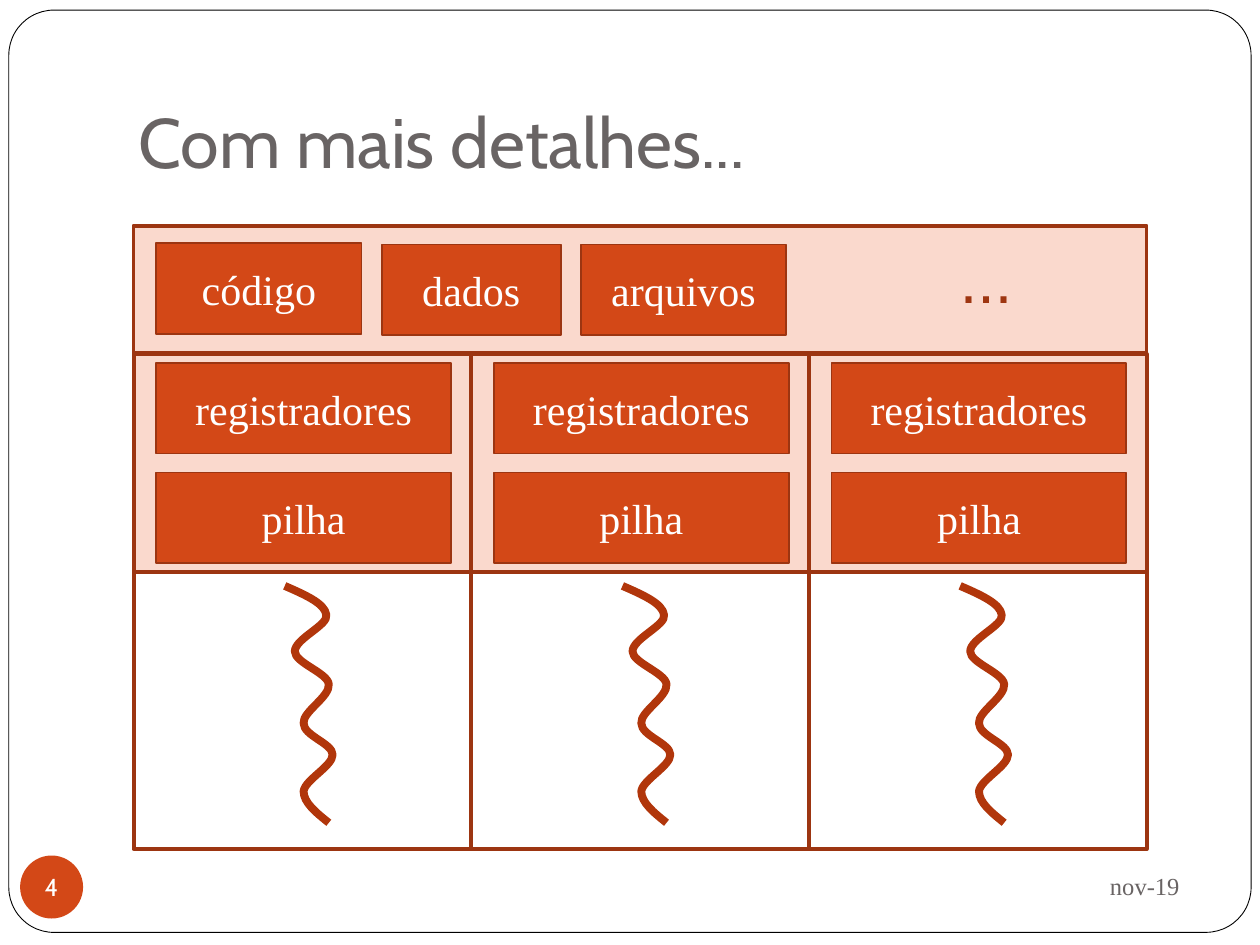
from pptx import Presentation
from pptx.dml.color import RGBColor
from pptx.enum.shapes import MSO_SHAPE
from pptx.enum.text import MSO_ANCHOR, MSO_AUTO_SIZE, PP_ALIGN
from pptx.oxml.ns import qn
from pptx.util import Inches, Pt
from lxml.etree import SubElement

COLORS = {
    "white": "FFFFFF", "black": "000000", "gray": "696464",
    "orange": "D34817", "pale": "FAD9CD", "border": "9C3511",
    "wave": "B1360B", "dots": "9E3611",
}
SERIF, SANS = "Times New Roman", "Cabin"
THREADS = 3
THREAD_WIDTH = 2.68
# Two control points and an end for each bend, from the top left of the wave
WAVE_BENDS = [
    ((0.16, 0.07), (0.32, 0.14), (0.33, 0.23)),
    ((0.35, 0.31), (0.08, 0.42), (0.08, 0.52)),
    ((0.08, 0.61), (0.34, 0.69), (0.35, 0.78)),
    ((0.36, 0.88), (0.14, 1.00), (0.15, 1.09)),
    ((0.15, 1.19), (0.38, 1.25), (0.38, 1.34)),
    ((0.38, 1.43), (0.16, 1.54), (0.15, 1.63)),
    ((0.15, 1.72), (0.25, 1.80), (0.35, 1.88)),
]


def rgb(name):
    return RGBColor.from_string(COLORS[name])


def write(shape, text, size, font, color, align, **frame_format):
    """Put one formatted line of text in a shape."""
    frame = shape.text_frame
    frame.text = text
    for name, value in {"word_wrap": True, **frame_format}.items():
        setattr(frame, name, value)
    line = frame.paragraphs[0]
    line.alignment = align
    letters = line.runs[0].font
    for name, value in {"size": Pt(size), "name": font, "bold": False}.items():
        setattr(letters, name, value)
    letters.color.rgb = rgb(color)


def add_block(slide, box, fill, border=None, weight=1, kind=MSO_SHAPE.RECTANGLE):
    block = slide.shapes.add_shape(kind, *map(Inches, box))
    block.shadow.inherit = False
    block.fill.solid()
    block.fill.fore_color.rgb = rgb(fill)
    if border:
        block.line.color.rgb = rgb(border)
        block.line.width = Pt(weight)
    else:
        block.line.fill.background()
    return block


def add_panel(slide, box, fill):
    add_block(slide, box, fill, "border", 2.25)


def add_resource(slide, box, label):
    block = add_block(slide, box, "orange", "border")
    write(block, label, 24, SERIF, "white", PP_ALIGN.CENTER,
          vertical_anchor=MSO_ANCHOR.MIDDLE)


def add_label(slide, box, *text_format, **frame_format):
    label = slide.shapes.add_textbox(*map(Inches, box))
    write(label, *text_format, **frame_format)


def add_wave(slide, left, top):
    """Join the ends of the bends, then turn each segment into a Bézier curve."""
    outline = slide.shapes.build_freeform(Inches(left), Inches(top))
    outline.add_line_segments(
        [(Inches(left + x), Inches(top + y)) for *_, (x, y) in WAVE_BENDS],
        close=False)
    wave = outline.convert_to_shape()
    for segment, bend in zip(list(wave.element.iter(qn("a:lnTo"))), WAVE_BENDS):
        curve = SubElement(segment.getparent(), qn("a:cubicBezTo"))
        for x, y in bend:
            SubElement(curve, qn("a:pt"), x=str(Inches(x)), y=str(Inches(y)))
        segment.getparent().replace(segment, curve)
    wave.shadow.inherit = False
    wave.fill.background()
    wave.line.color.rgb = rgb("wave")
    wave.line.width = Pt(4.5)


def add_heading(slide):
    title = slide.shapes.title
    for side, value in zip(("left", "top", "width", "height"), (1, 0.3, 8.5, 1.25)):
        setattr(title, side, Inches(value))
    write(title, "Com mais detalhes...", 40, SANS, "gray", PP_ALIGN.LEFT,
          vertical_anchor=MSO_ANCHOR.BOTTOM, margin_bottom=Inches(0.1),
          auto_size=MSO_AUTO_SIZE.NONE)


def add_frame(slide):
    frame = add_block(slide, (0.07, 0.08, 9.86, 7.32), "white", "black", 0.5,
                      MSO_SHAPE.ROUNDED_RECTANGLE)
    frame.adjustments[0] = 0.049
    slide.shapes.title.element.addprevious(frame.element)


def add_footer(slide):
    add_label(slide, (6.75, 6.77, 2.71, 0.52), "nov-19", 14, SERIF, "gray",
              PP_ALIGN.RIGHT, vertical_anchor=MSO_ANCHOR.MIDDLE)
    badge = add_block(slide, (0.16, 6.79, 0.5, 0.5), "orange", kind=MSO_SHAPE.OVAL)
    margins = {f"margin_{side}": 0 for side in ("left", "top", "right", "bottom")}
    write(badge, "4", 14, SANS, "white", PP_ALIGN.CENTER, word_wrap=False,
          vertical_anchor=MSO_ANCHOR.MIDDLE, **margins)


def add_shared_resources(slide, left, top):
    add_panel(slide, (left, top, THREADS * THREAD_WIDTH, 1.01), "pale")
    for label, x, y, width in (("código", 0.18, 0.14, 1.63),
                               ("dados", 1.97, 0.15, 1.42),
                               ("arquivos", 3.55, 0.15, 1.63)):
        add_resource(slide, (left + x, top + y, width, 0.72), label)
    add_label(slide, (left + 6.46, top + 0.07, 0.71, 0.71), "...", 36, "Arial",
              "dots", PP_ALIGN.LEFT, auto_size=MSO_AUTO_SIZE.SHAPE_TO_FIT_TEXT)


def add_thread(slide, left, top):
    add_panel(slide, (left, top, THREAD_WIDTH, 1.73), "pale")
    add_panel(slide, (left, top + 1.73, THREAD_WIDTH, 2.2), "white")
    add_wave(slide, left + 1.2, top + 1.84)
    for row, label in enumerate(("registradores", "pilha")):
        add_resource(slide, (left + 0.18, top + 0.07 + row * 0.87, 2.34, 0.72), label)


def main():
    deck = Presentation()
    deck.slide_width, deck.slide_height = Inches(10), Inches(7.5)
    slide = deck.slides.add_slide(deck.slide_layouts[5])
    add_heading(slide)
    add_frame(slide)
    add_footer(slide)
    add_shared_resources(slide, 1.06, 1.79)
    for thread in range(THREADS):
        add_thread(slide, 1.06 + thread * THREAD_WIDTH, 2.81)
    deck.save("out.pptx")


if __name__ == "__main__":
    main()
